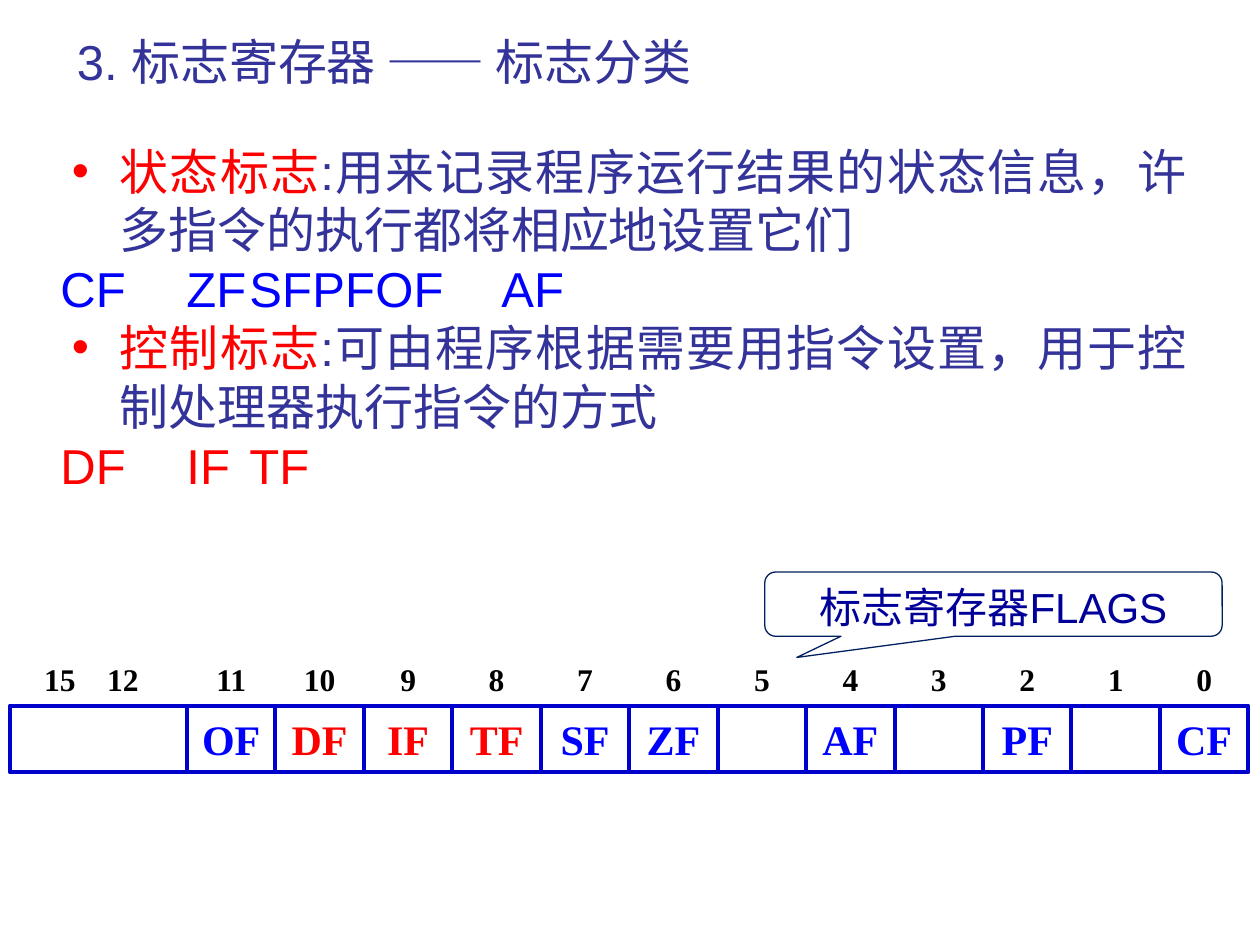
from pptx import Presentation
from pptx.dml.color import RGBColor
from pptx.enum.shapes import MSO_SHAPE as Shape
from pptx.enum.text import MSO_ANCHOR as Anchor, MSO_AUTO_SIZE as AutoSize, PP_ALIGN as Align
from pptx.oxml.ns import qn
from pptx.util import Inches, Pt
from lxml.etree import SubElement

SANS, SERIF, CHINESE = "Arial", "Times New Roman", "Noto Sans CJK SC"
INDIGO, NAVY, BLUE, RED, BLACK = "333399", "000099", "0000FF", "FF0000", "000000"
CELL_LINE, CALLOUT_LINE = "0000CC", "002060"


def color(value):
    """Return the colour of a hex string."""
    return RGBColor.from_string(value)


class SlideBuilder:
    """Holds the slide and its style; boxes are in percent of the slide's size."""

    def __init__(self, presentation):
        """Add a slide with a title and a body."""
        self.presentation = presentation
        self.slide = presentation.slides.add_slide(presentation.slide_layouts[1])
        self.shapes = self.slide.shapes

    def box(self, left, top, width, height):
        """Turn percentages into slide lengths."""
        across = self.presentation.slide_width / 100
        down = self.presentation.slide_height / 100
        return [round(n) for n in (left * across, top * down, width * across, height * down)]

    def place(self, shape, box):
        """Move a placeholder and clear its automatic fitting."""
        shape.left, shape.top, shape.width, shape.height = self.box(*box)
        shape.text_frame.auto_size = AutoSize.NONE
        return shape.text_frame

    def add_text(self, paragraph, runs, size, align, font=SANS, bold=False):
        """Fill a paragraph with (text, colour[, font]) runs."""
        paragraph.alignment = align
        paragraph.font.size, paragraph.font.bold = Pt(size), bold
        paragraph.font.name = font
        for text, tone, *face in runs:
            run = paragraph.add_run()
            run.text = text
            run.font.color.rgb = color(tone)
            if face:
                run.font.name = face[0]

    def indent(self, paragraph, margin=0, first=0, bullet=None, stops=()):
        """Set the indents, bullet and tab stops of a paragraph in inches."""
        properties = paragraph._p.get_or_add_pPr()
        properties.set("marL", str(Inches(margin)))
        properties.set("indent", str(Inches(first)))
        if bullet:
            SubElement(properties, qn("a:buChar"), char=bullet)
        else:
            SubElement(properties, qn("a:buNone"))
        if stops:
            tabs = SubElement(properties, qn("a:tabLst"))
            for stop in stops:
                SubElement(tabs, qn("a:tab"), pos=str(Inches(stop)), algn="l")

    def title(self, text, box):
        """Fill the title."""
        frame = self.place(self.shapes.title, box)
        frame.vertical_anchor = Anchor.MIDDLE
        self.add_text(frame.paragraphs[0], [(text, INDIGO)], 28, Align.LEFT)

    def body(self, groups, box):
        """Fill the body with each bullet and its line of flags."""
        frame = self.place(self.slide.placeholders[1], box)
        paragraph = frame.paragraphs[0]
        for index, (term, meaning, flags, tone, stops) in enumerate(groups):
            if index:
                paragraph = frame.add_paragraph()
            self.indent(paragraph, 0.47, -0.38, "•")
            self.add_text(paragraph, [(term, RED), (meaning, INDIGO)], 28, Align.JUSTIFY)
            paragraph = frame.add_paragraph()
            self.indent(paragraph, stops=stops)
            self.add_text(paragraph, [("\t".join(flags), tone)], 28, Align.JUSTIFY)
        for paragraph in frame.paragraphs:
            paragraph.space_before = Pt(0)
            paragraph.line_spacing = Pt(33.6)

    def outline(self, shapes, kind, box, line, weight):
        """Draw an unfilled shape."""
        shape = shapes.add_shape(kind, *self.box(*box))
        shape.shadow.inherit = False
        shape.fill.background()
        shape.line.color.rgb = color(line)
        shape.line.width = Pt(weight)
        return shape

    def bit(self, shapes, number, flag, tone, box, label_height, stops=()):
        """Draw a register cell with its bit number above."""
        left, top, width, height = box
        cell = self.outline(shapes, Shape.RECTANGLE, box, CELL_LINE, 2.25)
        if flag:
            frame = cell.text_frame
            frame.margin_left = frame.margin_right = 0
            self.add_text(frame.paragraphs[0], [(flag, tone)], 24, Align.CENTER, SERIF, True)
        label = shapes.add_textbox(*self.box(left, top - label_height, width, label_height))
        frame = label.text_frame
        frame.word_wrap = True
        frame.vertical_anchor = Anchor.MIDDLE
        paragraph = frame.paragraphs[0]
        if stops:
            frame.margin_left = Inches(0.27)
            self.indent(paragraph, stops=stops)
        align = Align.LEFT if stops else Align.CENTER
        self.add_text(paragraph, [(number, BLACK)], 18, align, SERIF, True)

    def register(self, flags, left, top, width, height, label_height):
        """Draw the register, whose first cell spans two columns."""
        shapes = self.shapes.add_group_shape().shapes
        self.bit(shapes, "15\t12", "", BLUE, (left, top, 2 * width, height), label_height, [0.63])
        for column, (flag, tone) in enumerate(flags, 2):
            box = (left + column * width, top, width, height)
            self.bit(shapes, str(len(flags) + 1 - column), flag, tone, box, label_height)

    def callout(self, runs, box, adjustments):
        """Draw a rounded callout."""
        shape = self.outline(self.shapes, Shape.ROUNDED_RECTANGULAR_CALLOUT, box, CALLOUT_LINE, 0.75)
        for index, value in enumerate(adjustments):
            shape.adjustments[index] = value
        shape.text_frame.vertical_anchor = Anchor.TOP
        self.add_text(shape.text_frame.paragraphs[0], runs, 24, Align.CENTER)


def main():
    """Build the slide about the flag register."""
    presentation = Presentation()
    presentation.slide_width, presentation.slide_height = Inches(10), Inches(7.5)
    builder = SlideBuilder(presentation)
    status, control = ["CF", "ZF", "SF", "PF", "OF", "AF"], ["DF", "IF", "TF"]
    builder.title("3. 标志寄存器 —— 标志分类", (5.1, 2.8, 90, 7.33))
    builder.body([
        ("状态标志", ":用来记录程序运行结果的状态信息，许多指令的执行都将相应地设置它们",
         status, BLUE, [0.71 * step for step in range(1, len(status))]),
        ("控制标志", ":可由程序根据需要用指令设置，用于控制处理器执行指令的方式",
         control, RED, [0.82, 1.5]),
    ], (3.8, 14.27, 91.4, 51.2))
    names = ["OF", "DF", "IF", "TF", "SF", "ZF", "", "AF", "", "PF", "", "CF"]
    flags = [(name, RED if name in control else BLUE) for name in names]
    builder.register(flags, 0.8, 74.67, 7.02, 7.07, 5.73)
    builder.callout([("标志寄存器", NAVY, CHINESE), ("FLAGS", NAVY)],
                    (60.7, 60.53, 36.3, 6.8), (-0.43, 0.83, 0.17))
    presentation.save("out.pptx")


if __name__ == "__main__":
    main()
